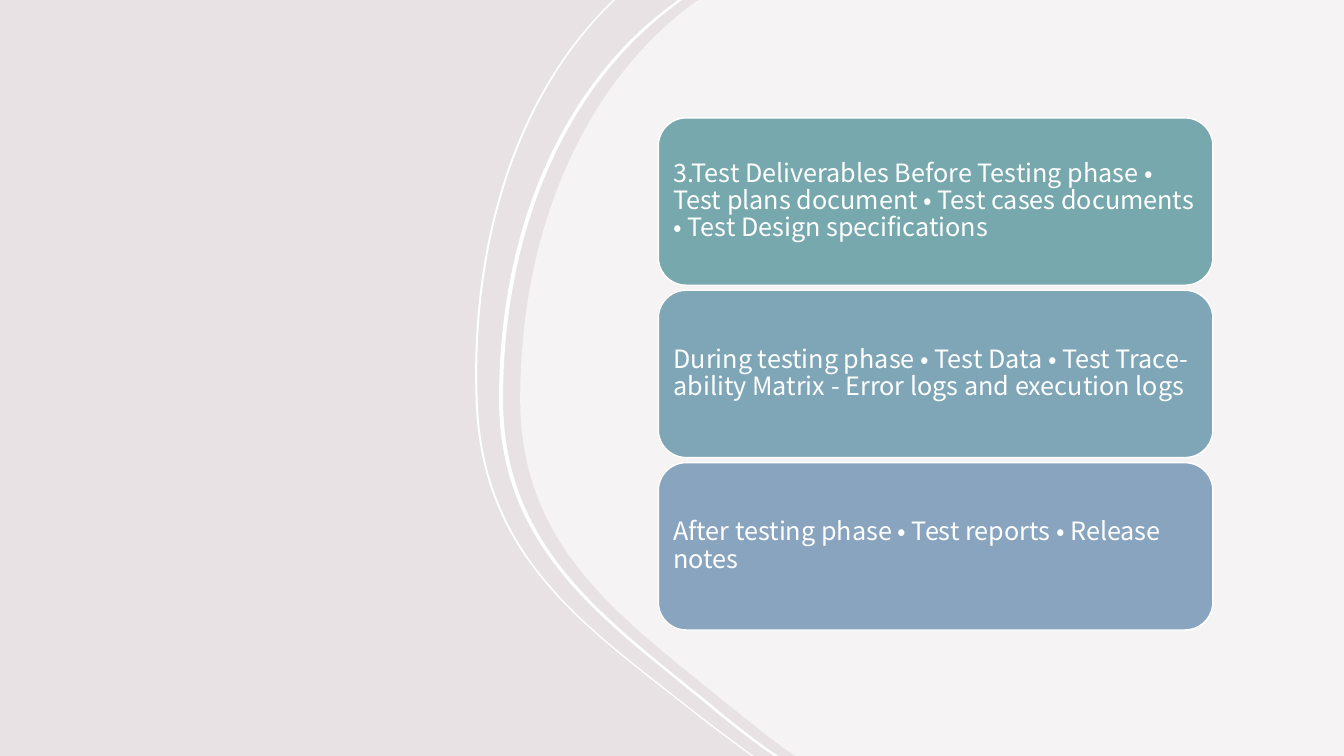
from lxml.etree import SubElement
from pptx import Presentation
from pptx.dml.color import RGBColor
from pptx.enum.shapes import MSO_SHAPE
from pptx.enum.text import MSO_ANCHOR, PP_ALIGN
from pptx.oxml.ns import qn
from pptx.util import Inches, Pt

BACKDROP = RGBColor(0xE8, 0xE2, 0xE4)
WHITE = RGBColor(0xFF, 0xFF, 0xFF)
TEAL = RGBColor(0x76, 0xA8, 0xAD)
STEEL = RGBColor(0x7F, 0xA6, 0xB6)
SLATE = RGBColor(0x89, 0xA4, 0xBF)
FONT = "Noto Sans CJK JP"
WIDTH, HEIGHT = 13.33, 7.5


def draw_white(group, sides, corners=()):
    """Fill an outline of sides (line, three Bézier curves, line) and straight corners."""
    segments = []
    for side in sides:
        segments += [side[:1], side[1:2], side[2:5], side[5:8], side[8:11], side[11:]]
    segments += [[corner] for corner in corners]
    ends = [(Inches(x), Inches(y)) for x, y in (segment[-1] for segment in segments)]
    builder = group.shapes.build_freeform(*ends[0], scale=1.0)
    builder.add_line_segments(ends[1:], close=True)
    shape = builder.convert_to_shape()
    lines = list(shape.element.iter(qn("a:lnTo")))
    for line, segment in zip(lines, segments[1:]):
        if len(segment) == 3:
            line.tag = qn("a:cubicBezTo")
            for point in list(line):
                line.remove(point)
            for x, y in segment:
                SubElement(line, qn("a:pt"), x=str(Inches(x) - shape.left),
                           y=str(Inches(y) - shape.top))
    shape.shadow.inherit = False
    shape.fill.solid()
    shape.fill.fore_color.rgb = WHITE
    shape.line.fill.background()
    return shape


deck = Presentation()
deck.slide_width, deck.slide_height = Inches(WIDTH), Inches(HEIGHT)
page = deck.slides.add_slide(deck.slide_layouts[6])
page.background.fill.solid()
page.background.fill.fore_color.rgb = BACKDROP

# Translucent panel with a curved left side
curves = page.shapes.add_group_shape()
panel_edge = [
    (6.93, 0), (6.91, 0.01),
    (5.79, 0.82), (5.16, 2.29), (5.16, 3.96),
    (5.16, 5.44), (6.17, 6.13), (7.21, 6.98),
    (7.4, 7.13), (7.58, 7.28), (7.77, 7.42),
    (7.89, HEIGHT),
]
panel = draw_white(curves, [panel_edge], [(WIDTH, HEIGHT), (WIDTH, 0)])
panel_color = next(panel.element.spPr.iter(qn("a:srgbClr")))
SubElement(panel_color, qn("a:alpha"), val="60000")

# Thin ribbons: each edge is joined to itself moved right by the thickness
outer_edge = [
    (6.08, 0), (6.05, 0.03),
    (5.12, 0.94), (4.65, 2.4), (4.72, 4.02),
    (4.79, 5.55), (5.82, 6.23), (6.87, 7.06),
    (7.06, 7.21), (7.25, 7.35), (7.44, 7.49),
    (7.46, HEIGHT),
]
inner_edge = [
    (6.72, 0), (6.7, 0.02),
    (5.57, 0.83), (4.95, 2.29), (4.95, 3.96),
    (4.95, 5.43), (5.96, 6.13), (6.99, 6.97),
    (7.18, 7.13), (7.37, 7.28), (7.56, 7.42),
    (7.68, HEIGHT),
]
for edge, thickness in ((outer_edge, 0.02), (inner_edge, 0.04)):
    far_edge = [(x + thickness, y) for x, y in reversed(edge)]
    draw_white(curves, [edge, far_edge])

# Stack of phase cards
CARD_LEFT, CARD_TOP, CARD_WIDTH, CARD_HEIGHT = 6.53, 1.17, 5.5, 1.66
CARD_PITCH = 1.71
TEXT_INSET = 0.08
PHASES = [
    (TEAL, "3.Test Deliverables Before Testing phase • Test plans document • "
           "Test cases documents • Test Design specifications"),
    (STEEL, "During testing phase • Test Data • Test Trace-ability Matrix - "
            "Error logs and execution logs"),
    (SLATE, "After testing phase • Test reports • Release notes"),
]
cards = page.shapes.add_group_shape()
for row, (color, wording) in enumerate(PHASES):
    top = CARD_TOP + row * CARD_PITCH
    card = cards.shapes.add_shape(MSO_SHAPE.ROUNDED_RECTANGLE, Inches(CARD_LEFT),
                                  Inches(top), Inches(CARD_WIDTH), Inches(CARD_HEIGHT))
    card.shadow.inherit = False
    card.fill.solid()
    card.fill.fore_color.rgb = color
    card.line.color.rgb = WHITE
    card.line.width = Pt(1)

    box = cards.shapes.add_textbox(Inches(CARD_LEFT + TEXT_INSET), Inches(top + TEXT_INSET),
                                   Inches(CARD_WIDTH - 2 * TEXT_INSET),
                                   Inches(CARD_HEIGHT - 2 * TEXT_INSET))
    frame = box.text_frame
    frame.word_wrap = True
    frame.vertical_anchor = MSO_ANCHOR.MIDDLE
    frame.margin_left = frame.margin_right = Inches(0.07)
    frame.margin_top = frame.margin_bottom = Inches(0.07)
    para = frame.paragraphs[0]
    para.alignment = PP_ALIGN.LEFT
    para.line_spacing = 0.9
    span = para.add_run()
    span.text = wording
    span.font.name = FONT
    span.font.size = Pt(18)
    span.font.color.rgb = WHITE

deck.save("out.pptx")
